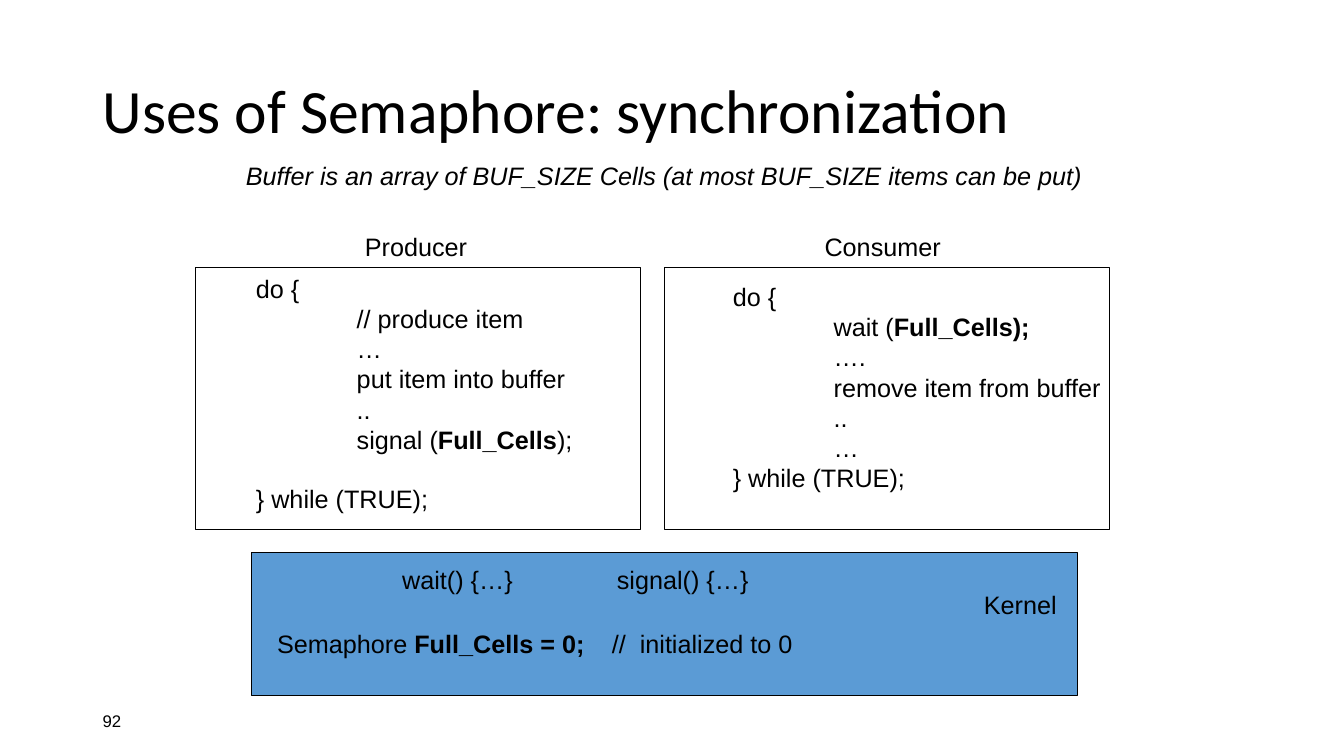
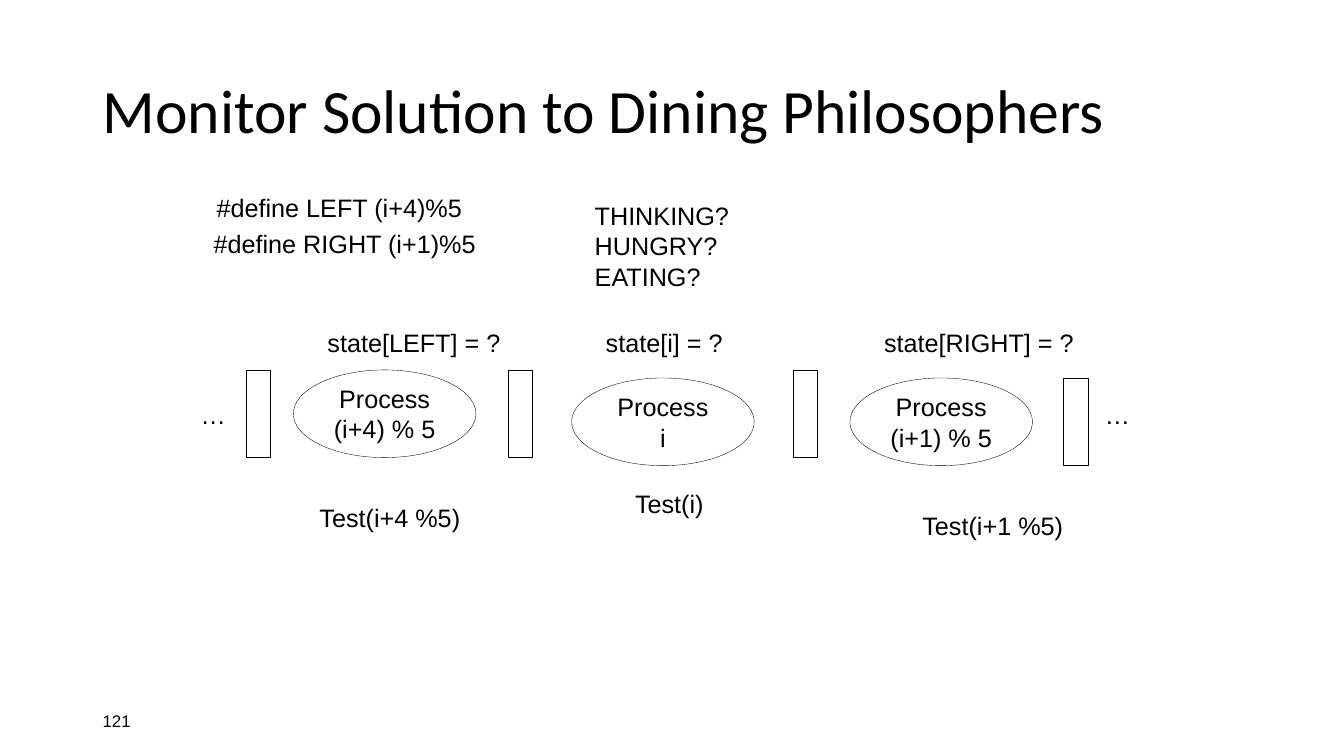
from pptx import Presentation
from pptx.dml.color import RGBColor
from pptx.enum.shapes import MSO_SHAPE as Preset
from pptx.enum.text import MSO_ANCHOR as Anchor, PP_ALIGN as Align
from pptx.oxml.ns import qn
from pptx.util import Inches, Pt
from lxml import etree

COLORS = {"ink": "000000", "paper": "FFFFFF", "kernel": "5B9BD5"}
TITLE_FONT, BODY_FONT = "Calibri", "Arial"
BODY_SIZE, LINE_HEIGHT = 18, 20.7


def color(name):
    return RGBColor.from_string(COLORS[name])


class SlideBuilder:
    """Holds the shared style and the slide being filled."""

    def __init__(self, deck):
        self.deck = deck
        self.page = None

    def new_page(self, title, number):
        self.page = self.deck.slides.add_slide(self.deck.slide_layouts[6])
        self.page.background.fill.solid()
        self.page.background.fill.fore_color.rgb = color("paper")
        heading = self.text(0.92, 0.4, 11.5, 1.45, [title], size=44, font=TITLE_FONT,
                            wrap=True, anchor=Anchor.MIDDLE)
        heading.text_frame.paragraphs[0].line_spacing = 0.9
        self.text(0.92, 6.95, 3, 0.4, [str(number)], size=12,
                  wrap=True, anchor=Anchor.MIDDLE)

    def fill_text(self, frame, lines, size=BODY_SIZE, font=BODY_FONT, italic=False,
                  align=Align.LEFT):
        """Set one paragraph per line; **marks** enclose bold words."""
        for index, line in enumerate(lines):
            para = frame.add_paragraph() if index else frame.paragraphs[0]
            para.alignment = align
            para.font.name, para.font.size = font, Pt(size)
            para.font.color.rgb = color("ink")
            para.font.italic = italic
            for part, words in enumerate(line.split("**")):
                if words:
                    span = para.add_run()
                    span.text = words
                    if part % 2:
                        span.font.bold = True

    def text(self, left, top, width, height, lines, wrap=False, anchor=Anchor.TOP, **style):
        box = self.page.shapes.add_textbox(*map(Inches, (left, top, width, height)))
        box.text_frame.word_wrap = wrap
        box.text_frame.vertical_anchor = anchor
        self.fill_text(box.text_frame, lines, **style)
        return box

    def label(self, left, top, width, words, **style):
        return self.text(left, top, width, 0.41, [words], **style)

    def code(self, left, top, height, body, gap_lines=0):
        """Show a do-while loop with its body indented."""
        lines = ["do {", *body, "} while (TRUE);"]
        box = self.text(left, top, 4.57, height, lines, wrap=True)
        paras = box.text_frame.paragraphs
        for para in paras:
            indent = 0.5 if para.text in (lines[0], lines[-1]) else 1.5
            para._p.get_or_add_pPr().set("marL", str(Inches(indent)))
        paras[-1].space_before = Pt(gap_lines * LINE_HEIGHT)

    def tab_stop(self, box, position):
        properties = box.text_frame.paragraphs[0]._p.get_or_add_pPr()
        stops = etree.Element(qn("a:tabLst"))
        etree.SubElement(stops, qn("a:tab"), pos=str(Inches(position)), algn="l")
        defaults = properties.find(qn("a:defRPr"))
        if defaults is None:
            properties.append(stops)
        else:
            defaults.addprevious(stops)

    def outline(self, preset, left, top, width, height, lines=(), fill=None):
        shape = self.page.shapes.add_shape(preset, *map(Inches, (left, top, width, height)))
        shape.shadow.inherit = False
        if fill:
            shape.fill.solid()
            shape.fill.fore_color.rgb = color(fill)
        else:
            shape.fill.background()
        shape.line.color.rgb = color("ink")
        shape.line.width = Pt(0.25)
        if lines:
            shape.text_frame.word_wrap = False
            shape.text_frame.vertical_anchor = Anchor.MIDDLE
            self.fill_text(shape.text_frame, lines, align=Align.CENTER)


def semaphore_page(builder):
    builder.new_page("Uses of Semaphore: synchronization", 92)
    builder.label(2.34, 1.54, 8.57,
                  "Buffer is an array of BUF_SIZE Cells (at most BUF_SIZE items can be put)",
                  italic=True)

    for left in (1.94, 6.59):
        builder.outline(Preset.RECTANGLE, left, 2.65, 4.41, 2.6)
    builder.label(3.52, 2.25, 1.22, "Producer")
    builder.label(8.08, 2.25, 1.36, "Consumer")
    builder.code(1.94, 2.66, 2.5, ["// produce item", "…", "put item into buffer", "..",
                                   "signal (**Full_Cells**);"], gap_lines=1)
    builder.code(6.67, 2.74, 2.2, ["wait (**Full_Cells);**", "….", "remove item from buffer",
                                   "..", "…"])

    builder.outline(Preset.RECTANGLE, 2.49, 5.48, 8.19, 1.42, fill="kernel")
    builder.label(3.89, 5.55, 1.31, "wait() {…}")
    builder.label(6.02, 5.55, 1.52, "signal() {…}")
    builder.label(9.66, 5.8, 0.93, "Kernel")
    declaration = builder.label(2.65, 6.18, 5.37,
                                "Semaphore **Full_Cells = 0;**\t//  initialized to 0", wrap=True)
    builder.tab_stop(declaration, 3.32)


def philosophers_page(builder):
    builder.new_page("Monitor Solution to Dining Philosophers", 121)
    builder.label(2.05, 1.86, 2.66, "#define LEFT (i+4)%5")
    builder.label(2.02, 2.22, 2.82, "#define RIGHT (i+1)%5")
    builder.text(5.8, 1.94, 1.55, 1.01, ["THINKING?", "HUNGRY?", "EATING?"])

    first_left, pitch = 2.91, 2.76
    high, low = 3.67, 3.75
    processes = [("(i+4) % 5", high, "LEFT", 1.93), ("i", low, "i", 1.37),
                 ("(i+1) % 5", low, "RIGHT", 2.1)]
    for index, (name, top, state, width) in enumerate(processes):
        left = first_left + index * pitch
        builder.outline(Preset.OVAL, left, top, 1.81, 0.87, ["Process", name])
        builder.label(left + 0.24, 3.2, width, f"state[{state}] = ?")

    for left, top in ((2.44, high), (5.04, high), (7.87, high), (10.55, low)):
        builder.outline(Preset.RECTANGLE, left, top, 0.24, 0.87)
    for left in (1.89, 10.86):
        builder.label(left, 3.91, 0.45, "…")

    builder.label(3.07, 4.93, 1.61, "Test(i+4 %5)")
    builder.label(6.2, 4.79, 0.89, "Test(i)")
    builder.label(9.05, 5.01, 1.61, "Test(i+1 %5)")


def main():
    deck = Presentation()
    deck.slide_width, deck.slide_height = Inches(13.33), Inches(7.5)
    builder = SlideBuilder(deck)
    semaphore_page(builder)
    philosophers_page(builder)
    deck.save("out.pptx")


if __name__ == "__main__":
    main()
